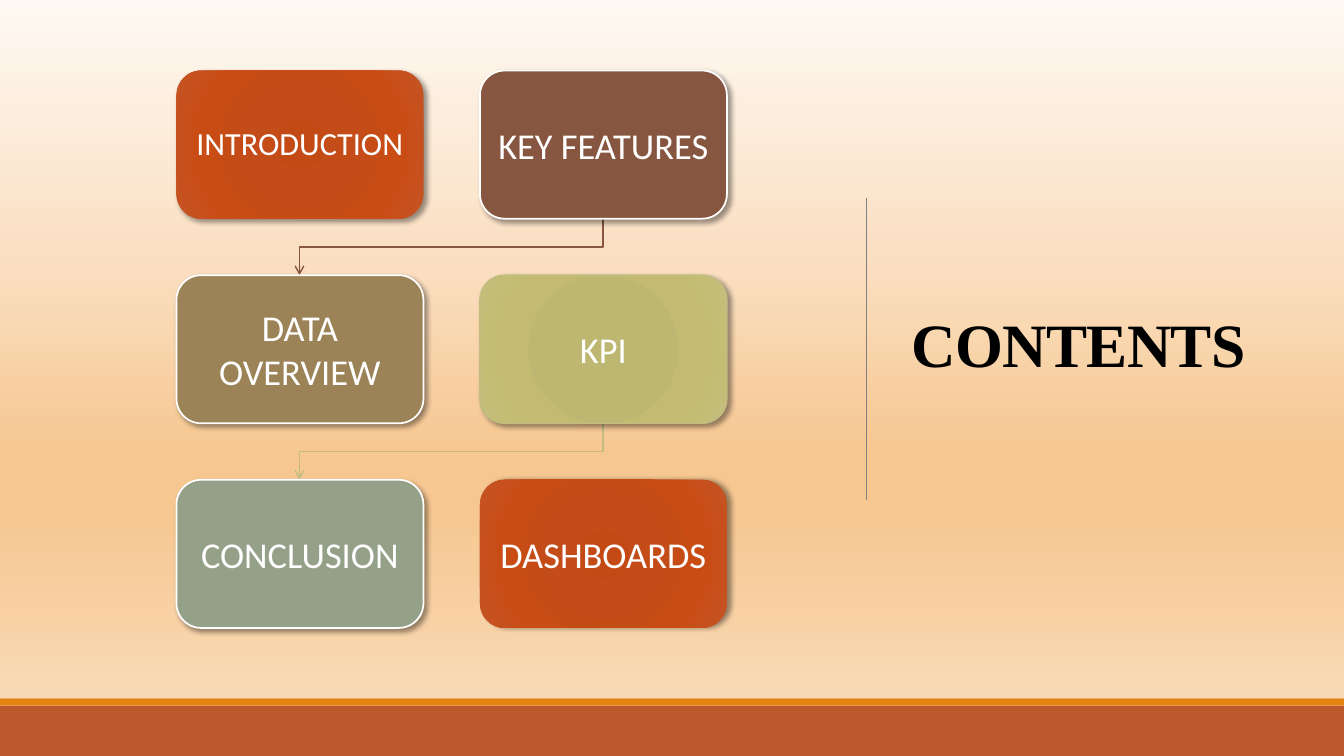
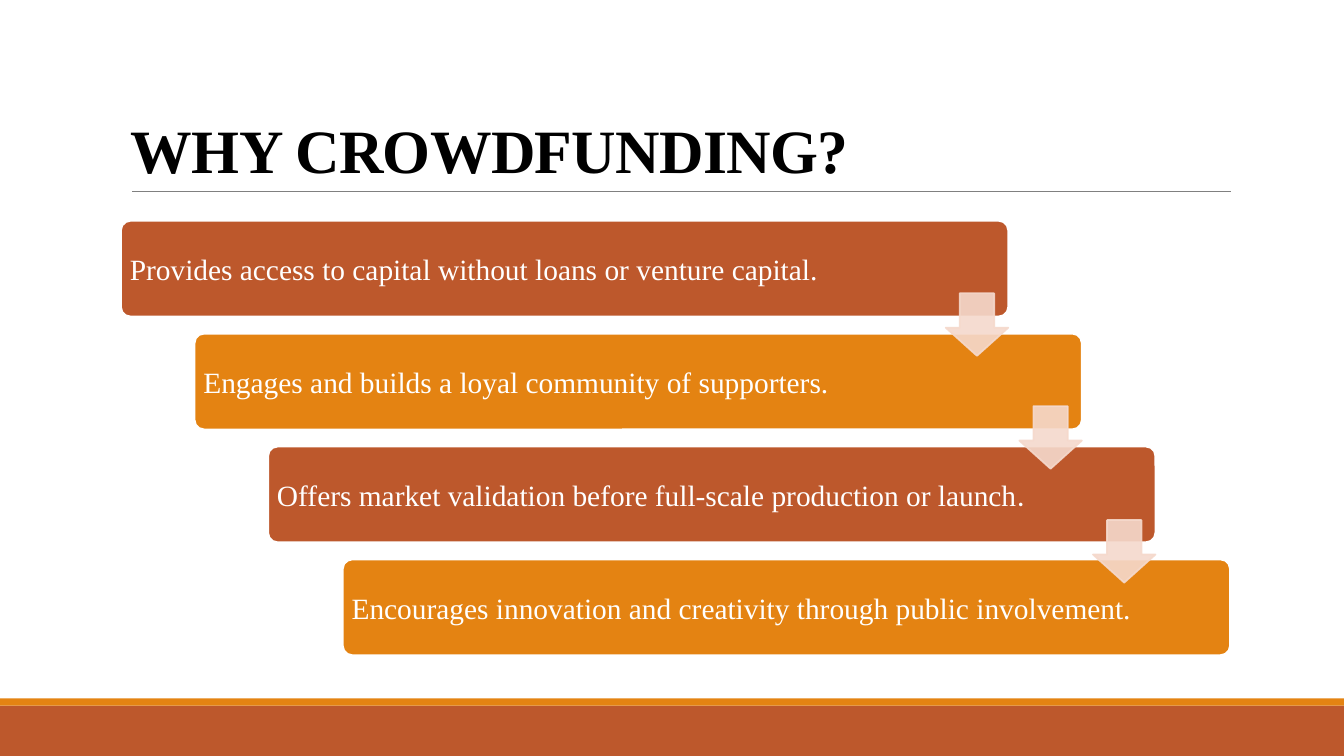
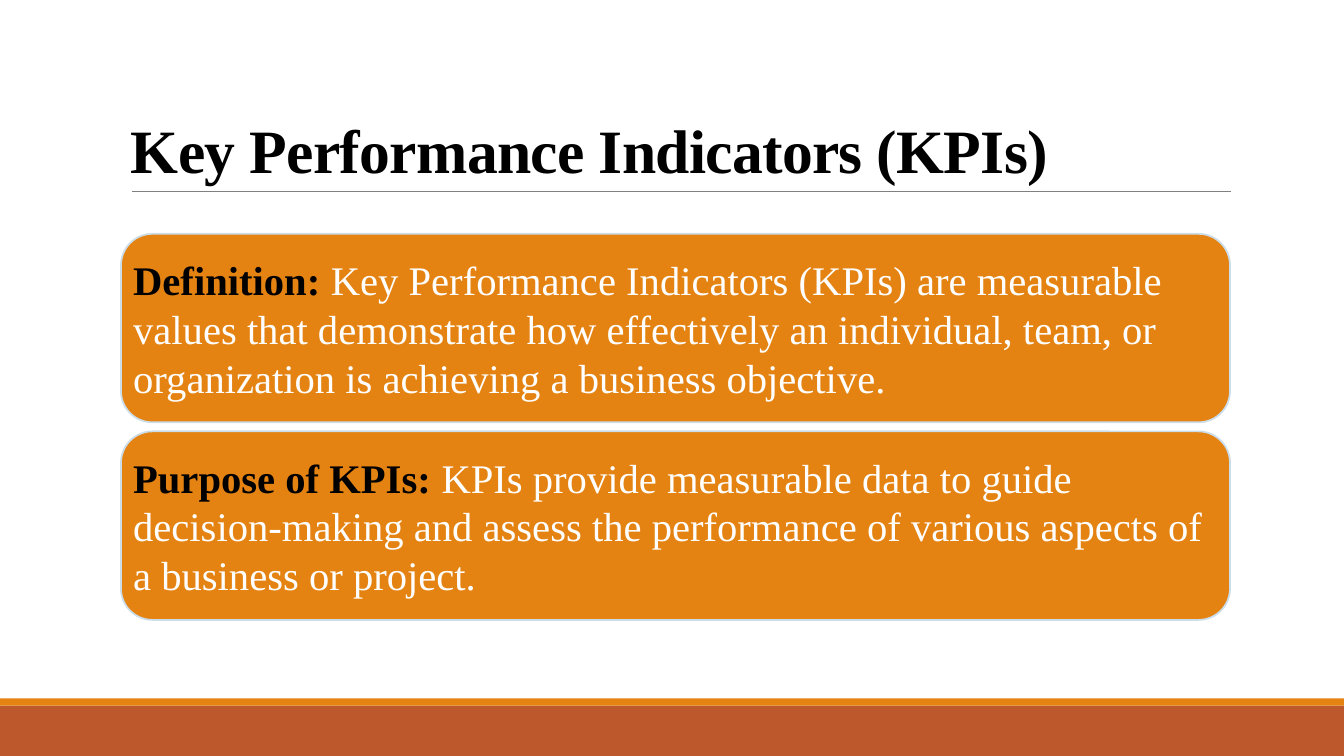
from dataclasses import dataclass
from typing import Any, NamedTuple

from lxml import etree
from pptx import Presentation
from pptx.dml.color import RGBColor
from pptx.enum.shapes import MSO_CONNECTOR, MSO_SHAPE
from pptx.enum.text import MSO_ANCHOR, PP_ALIGN
from pptx.oxml.ns import qn
from pptx.util import Emu, Pt

RECT, ROUND = MSO_SHAPE.RECTANGLE, MSO_SHAPE.ROUNDED_RECTANGLE
PROCESS, DOWN = MSO_SHAPE.FLOWCHART_ALTERNATE_PROCESS, MSO_SHAPE.DOWN_ARROW
STRAIGHT = MSO_CONNECTOR.STRAIGHT
MIDDLE, BOTTOM = MSO_ANCHOR.MIDDLE, MSO_ANCHOR.BOTTOM
LEFT, CENTER = PP_ALIGN.LEFT, PP_ALIGN.CENTER

PX = 9144
WIDTH, HEIGHT = 1333, 750
BAND_TOP, BAND_SPLIT = 693, 700
SERIF, SANS = "Times New Roman", "Calibri"
COLORS = {
    "rust": "BD582C", "orange": "E48312", "brown": "865640", "tan": "9B8357",
    "olive": "C2BC80", "sage": "94A088", "peach": "F5D9CC", "rule": "808080",
    "ice": "CCDDEA", "white": "FFFFFF", "black": "000000",
}
GRADIENTS = {
    "sunset": ((0, "FEF9F3"), (39, "FADEBF"), (65, "F6C791"),
               (74, "F6C791"), (81, "F7CC9B"), (100, "F9DAB6")),
    "ember": ((0, "C44A15"), (34, "C34C18"), (70, "C94C15"), (100, "C45525")),
    "moss": ((0, "BEB76E"), (34, "BEB771"), (70, "C3BB71"), (100, "C5BF7D")),
}
TITLE = {"size": Pt(44), "name": SERIF, "bold": True}
TOPIC = {"size": Pt(26), "name": SANS}
TIGHT_TOPIC = TOPIC | {"size": Pt(23)}
STEP = {"size": Pt(21), "name": SERIF}
BODY = {"size": Pt(29), "name": SERIF}


class Box(NamedTuple):
    x: int
    y: int
    w: int
    h: int


class Run(NamedTuple):
    text: str
    fmt: dict[str, Any]
    color: str = "white"


@dataclass
class Topic:
    text: str
    fill: str
    line: str | None = "white"
    line_width: float = 1.25
    fmt: dict[str, Any] | None = None
    spacing: float = 1.0
    shadow_angle: int = 45


TOPICS = (
    Topic("INTRODUCTION", "ember", None, fmt=TIGHT_TOPIC, spacing=0.9),
    Topic("KEY FEATURES", "brown"),
    Topic("DATA OVERVIEW", "tan"),
    Topic("KPI", "moss", "olive", 1),
    Topic("CONCLUSION", "sage"),
    Topic("DASHBOARDS", "ember", None, shadow_angle=0),
)
STEPS = (
    (Run("Provides access to capital without loans or venture capital.", STEP),),
    (Run("Engages and builds a loyal community of supporters.", STEP),),
    (Run("Offers market validation before full-scale production or launch", STEP),
     Run(".", STEP | {"name": SANS})),
    (Run("Encourages innovation and creativity through public involvement.", STEP),),
)
KPI_NOTES = (
    ("Definition: ",
     "Key Performance Indicators (KPIs) are measurable values that demonstrate how "
     "effectively an individual, team, or organization is achieving a business objective."),
    ("Purpose of KPIs: ",
     "KPIs provide measurable data to guide decision-making and assess the performance "
     "of various aspects of a business or project."),
)


def px(n: int) -> Emu:
    return Emu(n * PX)


def rgb(name: str) -> RGBColor:
    return RGBColor.from_string(COLORS[name])


def add(parent, tag: str, **attrs):
    return etree.SubElement(parent, qn(tag), {k: str(v) for k, v in attrs.items()})


def set_gradient(s, name: str, radial: bool) -> None:
    s.fill.gradient()
    grad = s.element.spPr.find(qn("a:gradFill"))
    for child in list(grad):
        grad.remove(child)
    stops = add(grad, "a:gsLst")
    for pos, color in GRADIENTS[name]:
        add(add(stops, "a:gs", pos=pos * 1000), "a:srgbClr", val=color)
    if radial:
        path = add(grad, "a:path", path="circle")
        add(path, "a:fillToRect", **dict.fromkeys("ltrb", 100000))
    else:
        add(grad, "a:lin", ang=90 * 60000, scaled=0)


def set_shadow(s, angle: int) -> None:
    effects = s.element.spPr.find(qn("a:effectLst"))
    shadow = add(effects, "a:outerShdw", blurRad=Pt(4), dist=Pt(3),
                 dir=angle * 60000, algn="tl", rotWithShape=0)
    add(add(shadow, "a:srgbClr", val=COLORS["black"]), "a:alpha", val=40000)


def set_opacity(s, percent: int) -> None:
    for color in list(s.element.spPr.iter(qn("a:srgbClr"))):
        add(color, "a:alpha", val=percent * 1000)


def add_box(slide, kind, box: Box, fill: str, line: str | None = None,
            line_width: float = 1.25, adj: tuple[float, ...] = (), radial: bool = True):
    s = slide.shapes.add_shape(kind, *map(px, box))
    s.shadow.inherit = False
    for i, value in enumerate(adj):
        s.adjustments[i] = value
    if fill in GRADIENTS:
        set_gradient(s, fill, radial)
    else:
        s.fill.solid()
        s.fill.fore_color.rgb = rgb(fill)
    if line:
        s.line.color.rgb = rgb(line)
        s.line.width = Pt(line_width)
    else:
        s.line.fill.background()
    return s


def write(s, runs: tuple[Run, ...], inset: tuple[int, int], anchor=MIDDLE,
          align=LEFT, spacing: float = 1.0) -> None:
    tf = s.text_frame
    side, top = map(px, inset)
    frame = {"word_wrap": True, "vertical_anchor": anchor, "margin_left": side,
             "margin_right": side, "margin_top": top, "margin_bottom": top}
    for key, value in frame.items():
        setattr(tf, key, value)
    p = tf.paragraphs[0]
    p.alignment = align
    p.line_spacing = spacing
    for run in runs:
        r = p.add_run()
        r.text = run.text
        for key, value in run.fmt.items():
            setattr(r.font, key, value)
        r.font.color.rgb = rgb(run.color)


def add_title(slide, text: str, box: Box, anchor) -> None:
    s = slide.shapes.add_textbox(*map(px, box))
    write(s, (Run(text, TITLE, "black"),), (10, 5), anchor, spacing=0.85)
    for props in s.element.iter(qn("a:rPr")):
        props.set("spc", "-50")


def add_rule(slide, x1: int, y1: int, x2: int, y2: int) -> None:
    s = slide.shapes.add_connector(STRAIGHT, *map(px, (x1, y1, x2, y2)))
    s.line.color.rgb = rgb("rule")
    s.line.width = Pt(0.5)
    add(s.element.spPr, "a:effectLst")


def add_bands(slide) -> None:
    add_box(slide, RECT, Box(0, BAND_SPLIT, WIDTH, HEIGHT - BAND_SPLIT), "rust")
    add_box(slide, RECT, Box(0, BAND_TOP, WIDTH, BAND_SPLIT - BAND_TOP), "orange")


def add_titled_slide(prs, title: str):
    slide = prs.slides.add_slide(prs.slide_layouts[6])
    add_bands(slide)
    add_rule(slide, 131, 190, 1221, 190)
    add_title(slide, title, Box(120, 31, 1100, 159), BOTTOM)
    return slide


def add_elbow(slide, start: Box, end: Box, color: str) -> None:
    x1, y1 = start.x + start.w // 2, start.y + start.h
    x2, y2 = end.x + end.w // 2, end.y
    mid = (y1 + y2) // 2
    outline = slide.shapes.build_freeform(px(x1), px(y1))
    corners = ((x1, mid), (x2, mid), (x2, y2))
    outline.add_line_segments([(px(x), px(y)) for x, y in corners], close=False)
    s = outline.convert_to_shape()
    s.shadow.inherit = False
    s.fill.background()
    s.line.color.rgb = rgb(color)
    s.line.width = Pt(1)
    add(s.element.spPr.find(qn("a:ln")), "a:tailEnd", type="arrow")


def build_contents(prs) -> None:
    slide = prs.slides.add_slide(prs.slide_layouts[6])
    add_box(slide, RECT, Box(0, 0, WIDTH, BAND_TOP), "sunset", radial=False)
    add_bands(slide)
    add_title(slide, "CONTENTS", Box(894, 69, 369, 553), MIDDLE)
    add_rule(slide, 859, 196, 859, 496)
    cells = [Box(175 + 301 * (i % 2), 70 + 203 * (i // 2), 245, 147)
             for i in range(len(TOPICS))]
    for i, color in ((1, "brown"), (3, "olive")):
        add_elbow(slide, cells[i], cells[i + 1], color)
    for topic, cell in zip(TOPICS, cells):
        s = add_box(slide, PROCESS, cell, topic.fill, topic.line, topic.line_width)
        set_shadow(s, topic.shadow_angle)
        write(s, (Run(topic.text, topic.fmt or TOPIC),), (5, 5),
              align=CENTER, spacing=topic.spacing)


def build_reasons(prs) -> None:
    slide = add_titled_slide(prs, "WHY CROWDFUNDING?")
    for i, runs in enumerate(STEPS):
        box = Box(120 + 220 * i // 3, 219 + 112 * i, 880, 95)
        s = add_box(slide, ROUND, box, ("rust", "orange")[i % 2], "white", adj=(0.1,))
        write(s, runs, (6, 6))
    for i in range(len(STEPS) - 1):
        box = Box(938 + 220 * i // 3, 291 + 225 * i // 2, 62, 62)
        s = add_box(slide, DOWN, box, "peach", "peach", adj=(0.55, 0.45))
        set_opacity(s, 90)


def build_kpis(prs) -> None:
    slide = add_titled_slide(prs, "Key Performance Indicators (KPIs)")
    for i, (label, text) in enumerate(KPI_NOTES):
        s = add_box(slide, ROUND, Box(120, 232 + 196 * i, 1100, 187), "orange", "ice")
        write(s, (Run(label, BODY | {"bold": True}, "black"), Run(text, BODY)), (3, 3))


def main() -> None:
    prs = Presentation()
    prs.slide_width, prs.slide_height = px(WIDTH), px(HEIGHT)
    for build in (build_contents, build_reasons, build_kpis):
        build(prs)
    prs.save("out.pptx")


if __name__ == "__main__":
    main()
